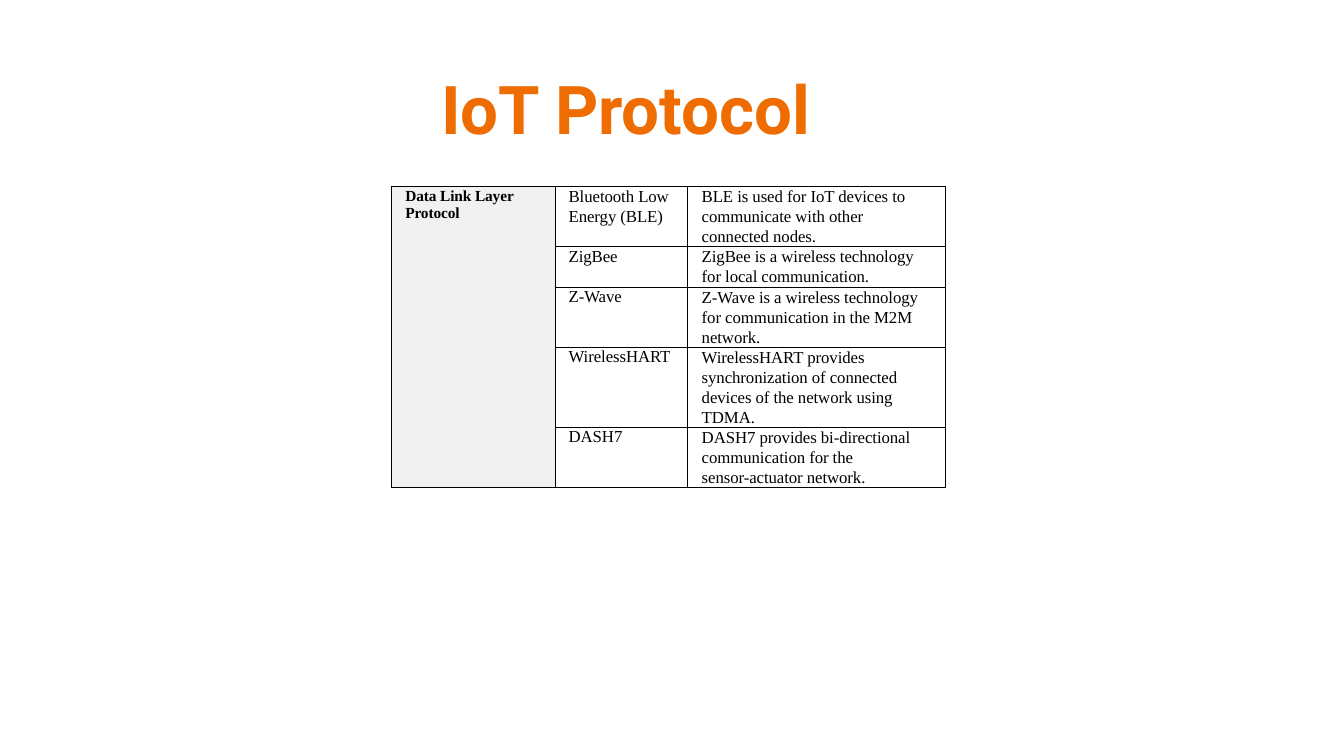
from lxml.etree import SubElement
from pptx import Presentation
from pptx.dml.color import RGBColor
from pptx.enum.text import MSO_ANCHOR, MSO_AUTO_SIZE, PP_ALIGN
from pptx.oxml.ns import qn
from pptx.util import Inches, Pt

COLORS = {"title": "EE6C00", "text": "000000", "border": "000000", "header": "F1F1F1"}
SERIF = "Times New Roman"
COL_WIDTHS = [1.63, 1.31, 2.56]
ROW_HEIGHTS = [0.59, 0.4, 0.59, 0.79, 0.59]
LAYER = ["Data Link Layer", "Protocol"]
PROTOCOLS = [
    ("Bluetooth Low Energy (BLE)",
     ["BLE is used for IoT devices to communicate with other connected nodes."]),
    ("ZigBee", ["ZigBee is a wireless technology for local communication."]),
    ("Z-Wave", ["Z-Wave is a wireless technology for communication in the M2M network."]),
    ("WirelessHART",
     ["WirelessHART provides synchronization of connected devices of the network using TDMA."]),
    ("DASH7",
     ["DASH7 provides bi-directional communication for the", "sensor-actuator network."]),
]


def write(tf, lines, size, color="text", font=SERIF, bold=False, align=PP_ALIGN.LEFT,
          line=None, indent=0, tracking=None):
    """Fill a text frame, one paragraph per line; tracking is in points."""
    for i, text in enumerate(lines):
        p = tf.paragraphs[0] if i == 0 else tf.add_paragraph()
        p.alignment = align
        if line:
            p.line_spacing = Pt(line)
        if indent:
            p._p.get_or_add_pPr().set("marL", str(Inches(indent)))
        r = p.add_run()
        r.text = text
        r.font.name = font
        r.font.size = Pt(size)
        r.font.bold = bold
        r.font.color.rgb = RGBColor.from_string(COLORS[color])
        if tracking is not None:
            r._r.get_or_add_rPr().set("spc", str(round(tracking * 100)))


def set_borders(cell, width=0.5):
    tcPr = cell._tc.get_or_add_tcPr()
    for side in ("lnL", "lnR", "lnT", "lnB"):
        ln = SubElement(tcPr, qn(f"a:{side}"), w=str(Pt(width)))
        fill = SubElement(ln, qn("a:solidFill"))
        SubElement(fill, qn("a:srgbClr"), val=COLORS["border"])


def format_cell(cell, fill=None, right=0):
    """Set borders, fill and margins; right is the right margin in inches."""
    set_borders(cell)
    if fill:
        cell.fill.solid()
        cell.fill.fore_color.rgb = RGBColor.from_string(COLORS[fill])
    else:
        cell.fill.background()
    cell.margin_left = cell.margin_top = cell.margin_bottom = 0
    cell.margin_right = Inches(right)
    cell.vertical_anchor = MSO_ANCHOR.TOP


def add_title(slide, text):
    sp = slide.shapes.title
    sp.left, sp.top, sp.width, sp.height = map(Inches, (1, 0.66, 10.42, 0.82))
    tf = sp.text_frame
    tf.margin_left = tf.margin_right = tf.margin_bottom = 0
    tf.margin_top = Inches(0.01)
    tf.vertical_anchor = MSO_ANCHOR.TOP
    tf.word_wrap = True
    tf.auto_size = MSO_AUTO_SIZE.SHAPE_TO_FIT_TEXT
    write(tf, [text], 48, color="title", font="Roboto", bold=True, align=PP_ALIGN.CENTER)


def add_protocol_table(slide):
    frame = slide.shapes.add_table(
        len(ROW_HEIGHTS), len(COL_WIDTHS), Inches(3.88), Inches(1.85),
        Inches(sum(COL_WIDTHS)), Inches(sum(ROW_HEIGHTS)))
    table = frame.table
    table.first_row = table.horz_banding = False
    for column, width in zip(table.columns, COL_WIDTHS):
        column.width = Inches(width)
    for row, height in zip(table.rows, ROW_HEIGHTS):
        row.height = Inches(height)

    for i, (name, description) in enumerate(PROTOCOLS):
        layer_cell, name_cell, description_cell = table.rows[i].cells
        format_cell(layer_cell, fill="header")
        format_cell(name_cell)
        format_cell(description_cell, right=0.22)
        write(name_cell.text_frame, [name], 12, line=14.3 if i == 0 else 13.9,
              indent=0.13, tracking=-0.05)
        write(description_cell.text_frame, description, 12, line=14.3,
              indent=0.14, tracking=-0.05)

    layer = table.cell(0, 0)
    layer.merge(table.cell(len(PROTOCOLS) - 1, 0))
    write(layer.text_frame, LAYER, 11, bold=True, line=12.8, indent=0.14, tracking=-0.1)


def main():
    prs = Presentation()
    prs.slide_width, prs.slide_height = Inches(13.33), Inches(7.5)
    slide = prs.slides.add_slide(prs.slide_layouts[5])
    add_title(slide, "IoT Protocol")
    add_protocol_table(slide)
    prs.save("out.pptx")


if __name__ == "__main__":
    main()
